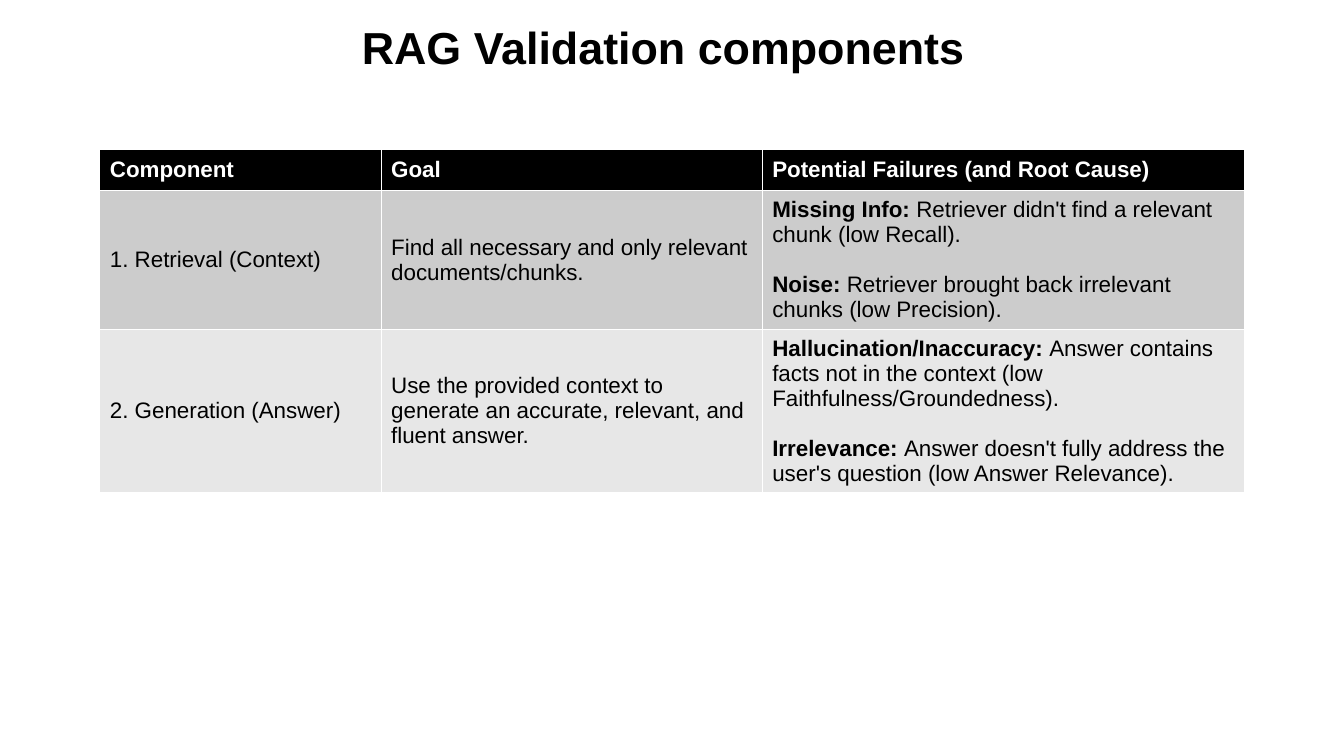
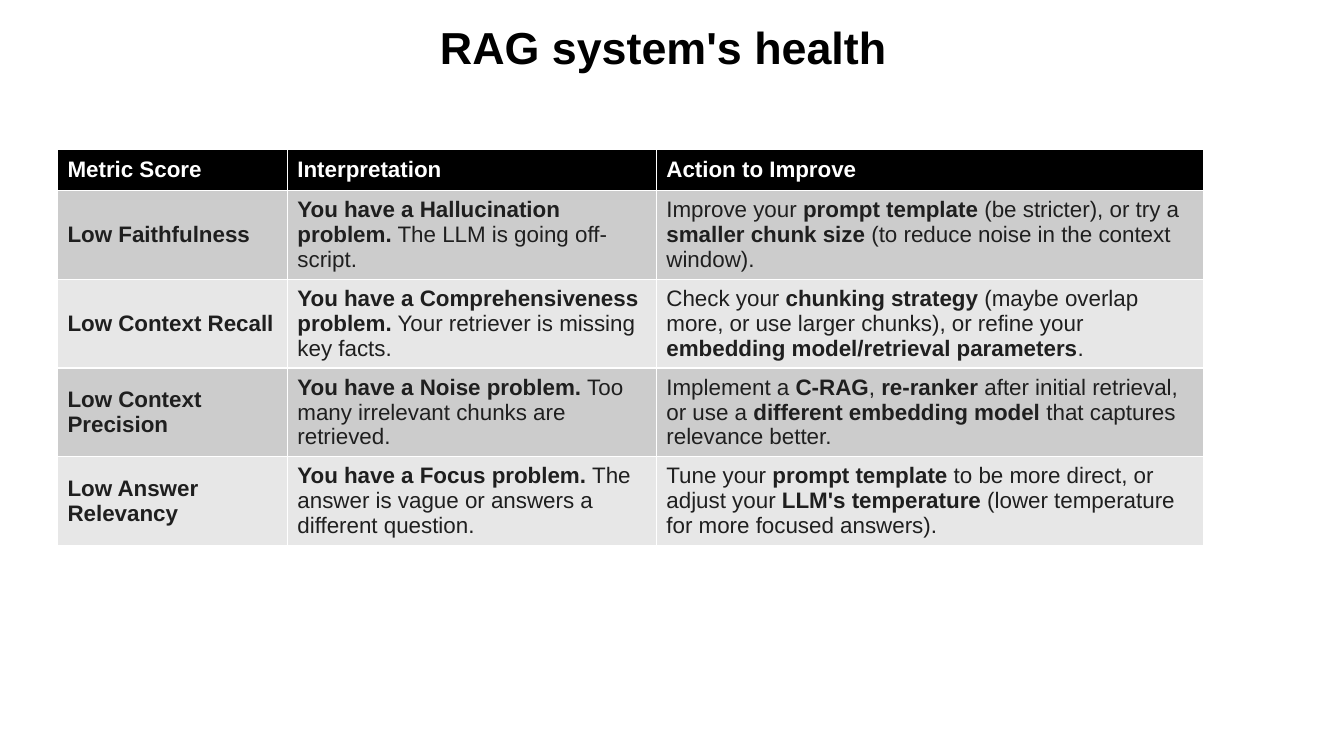
from dataclasses import dataclass

from pptx import Presentation
from pptx.dml.color import RGBColor
from pptx.enum.text import MSO_ANCHOR, MSO_AUTO_SIZE, PP_ALIGN
from pptx.util import Inches, Pt


@dataclass(frozen=True)
class Theme:
    font: str = "Arial"
    title_size: Pt = Pt(32)
    table_size: Pt = Pt(16)
    paragraph_gap: Pt = Pt(18)
    black: RGBColor = RGBColor(0x00, 0x00, 0x00)
    white: RGBColor = RGBColor(0xFF, 0xFF, 0xFF)
    charcoal: RGBColor = RGBColor(0x1F, 0x1F, 0x1F)
    bands: tuple = (RGBColor(0xCC, 0xCC, 0xCC), RGBColor(0xE7, 0xE7, 0xE7))


THEME = Theme()
TABLE_TOP = 1.48
HEADER_HEIGHT = 0.41

# Text between double asterisks is bold; a line break starts a new paragraph.
SLIDES = [
    {
        "title": "RAG Validation components",
        "left": 0.99,
        "column_widths": [2.79, 3.78, 4.78],
        "row_heights": [1.37, 1.62],
        "text_color": THEME.black,
        "rows": [
            ["**Component**", "**Goal**", "**Potential Failures (and Root Cause)**"],
            [
                "1. Retrieval (Context)",
                "Find all necessary and only relevant documents/chunks.",
                "**Missing Info: **Retriever didn't find a relevant chunk (low Recall).\n"
                "**Noise:** Retriever brought back irrelevant chunks (low Precision).",
            ],
            [
                "2. Generation (Answer)",
                "Use the provided context to generate an accurate, relevant, and fluent answer.",
                "**Hallucination/Inaccuracy: **Answer contains facts not in the context "
                "(low Faithfulness/Groundedness).\n"
                "**Irrelevance: **Answer doesn't fully address the user's question "
                "(low Answer Relevance).",
            ],
        ],
    },
    {
        "title": "RAG system's health",
        "left": 0.57,
        "column_widths": [2.28, 3.66, 5.43],
        "row_heights": [0.87] * 4,
        "text_color": THEME.charcoal,
        "rows": [
            ["**Metric Score**", "**Interpretation**", "**Action to Improve**"],
            [
                "**Low Faithfulness**",
                "**You have a Hallucination problem.** The LLM is going off-script.",
                "Improve your **prompt template** (be stricter), or try a "
                "**smaller chunk size** (to reduce noise in the context window).",
            ],
            [
                "**Low Context Recall**",
                "**You have a Comprehensiveness problem.** Your retriever is missing key facts.",
                "Check your **chunking strategy** (maybe overlap more, or use larger chunks), "
                "or refine your **embedding model/retrieval parameters**.",
            ],
            [
                "**Low Context Precision**",
                "**You have a Noise problem.** Too many irrelevant chunks are retrieved.",
                "Implement a **C-RAG**, **re-ranker **after initial retrieval, or use a "
                "**different embedding model** that captures relevance better.",
            ],
            [
                "**Low Answer Relevancy**",
                "**You have a Focus problem.** The answer is vague or answers a different question.",
                "Tune your **prompt template** to be more direct, or adjust your "
                "**LLM's temperature** (lower temperature for more focused answers).",
            ],
        ],
    },
]


def format_run(run, size, color, bold):
    run.font.name = THEME.font
    run.font.size = size
    run.font.color.rgb = color
    run.font.bold = bold


def fill_cell(cell, text, fill_color, text_color):
    """Fill a cell with paragraphs, bold where the text is marked."""
    cell.fill.solid()
    cell.fill.fore_color.rgb = fill_color
    cell.vertical_anchor = MSO_ANCHOR.MIDDLE
    cell.margin_left = cell.margin_right = Inches(0.1)
    cell.margin_top = cell.margin_bottom = Inches(0.07)
    frame = cell.text_frame
    for index, line in enumerate(text.split("\n")):
        paragraph = frame.add_paragraph() if index else frame.paragraphs[0]
        if index:
            paragraph.space_before = THEME.paragraph_gap
        for position, part in enumerate(line.split("**")):
            if part:
                run = paragraph.add_run()
                run.text = part
                format_run(run, THEME.table_size, text_color, position % 2 == 1)


presentation = Presentation()
presentation.slide_width = Inches(13.33)
presentation.slide_height = Inches(7.5)
title_only = presentation.slide_layouts[5]

for content in SLIDES:
    slide = presentation.slides.add_slide(title_only)

    title = slide.shapes.title
    title.left, title.top = Inches(0.83), Inches(0.17)
    title.width, title.height = Inches(11.5), Inches(0.65)
    title.text_frame.text = content["title"]
    title.text_frame.word_wrap = True
    title.text_frame.auto_size = MSO_AUTO_SIZE.NONE
    title.text_frame.vertical_anchor = MSO_ANCHOR.MIDDLE
    paragraph = title.text_frame.paragraphs[0]
    paragraph.alignment = PP_ALIGN.CENTER
    paragraph.line_spacing = 0.9
    format_run(paragraph.runs[0], THEME.title_size, THEME.black, True)

    rows, widths = content["rows"], content["column_widths"]
    heights = [HEADER_HEIGHT] + content["row_heights"]
    table = slide.shapes.add_table(
        len(rows), len(widths), Inches(content["left"]), Inches(TABLE_TOP),
        Inches(sum(widths)), Inches(sum(heights)),
    ).table
    for column, width in zip(table.columns, widths):
        column.width = Inches(width)
    for row_index, (row, height, texts) in enumerate(zip(table.rows, heights, rows)):
        row.height = Inches(height)
        if row_index == 0:
            fill_color, text_color = THEME.black, THEME.white
        else:
            fill_color = THEME.bands[(row_index - 1) % 2]
            text_color = content["text_color"]
        for cell, text in zip(row.cells, texts):
            fill_cell(cell, text, fill_color, text_color)

presentation.save("out.pptx")
